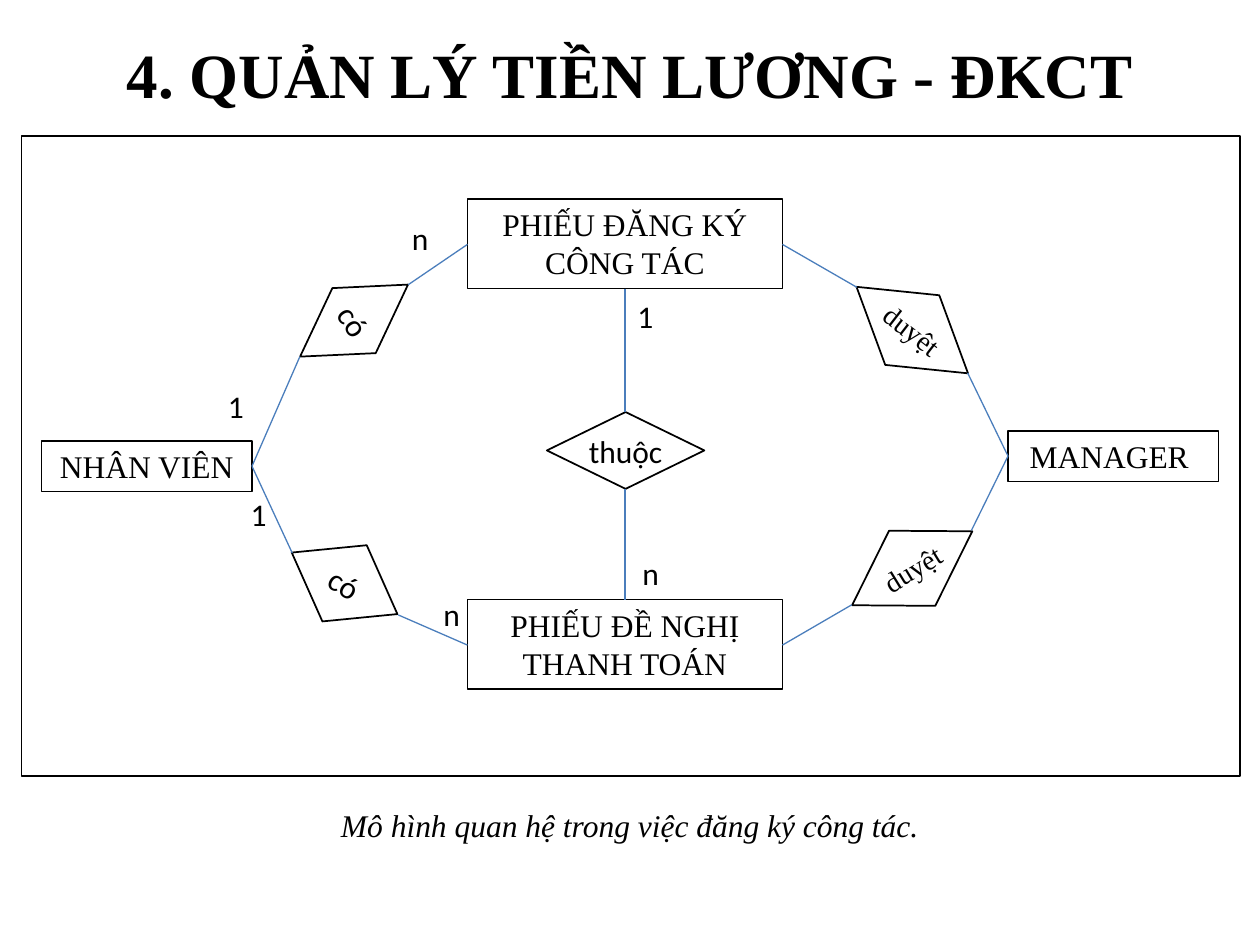
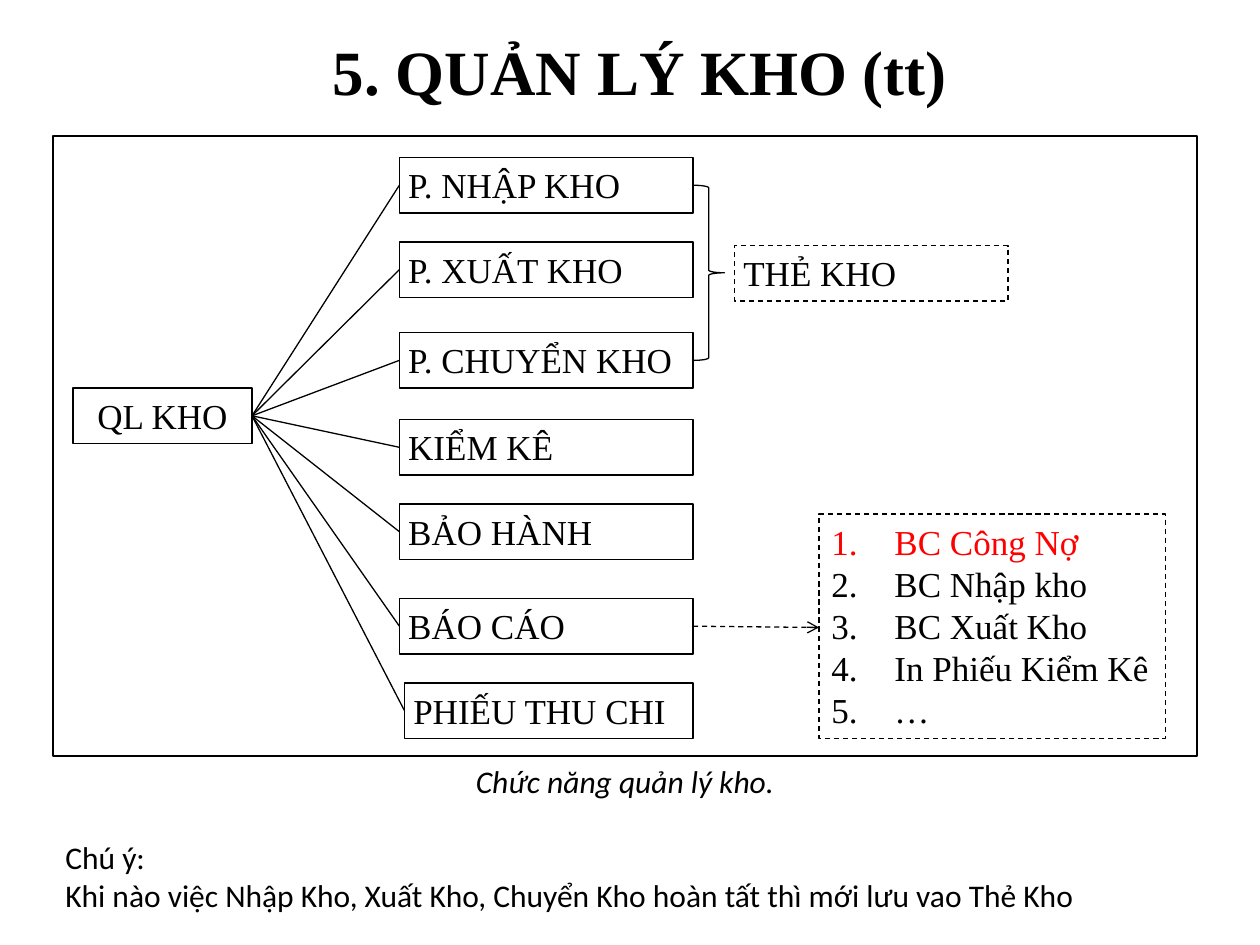
"""Build two slides: a payroll relationship model and a warehouse function chart."""
import pptx
import pptx.util
import pptx.dml.color
import pptx.enum.dml
import pptx.enum.shapes
import pptx.enum.text
import pptx.oxml.ns
import lxml.etree

Inches = pptx.util.Inches
Pt = pptx.util.Pt
RGBColor = pptx.dml.color.RGBColor
SHAPES = pptx.enum.shapes.MSO_SHAPE
ALIGN = pptx.enum.text.PP_ALIGN
ANCHOR = pptx.enum.text.MSO_ANCHOR
DASH = pptx.enum.dml.MSO_LINE.DASH

COLORS = {"ink": "000000", "link": "4B7EBC", "alert": "FF0000"}
SERIF = "Times New Roman"
SANS = "Calibri"
THIN = 0.75
INSETS = (0.1, 0.05, 0.1, 0.05)
LABEL_INSETS = (0.07, 0.05, 0, 0.05)


def add_box(slide, box, lines=(), kind=SHAPES.RECTANGLE, size=18, font=SERIF, align=ALIGN.CENTER,
            anchor=ANCHOR.TOP, insets=INSETS, width=THIN, dashed=False, bold=None, italic=None):
    place = [Inches(length) for length in box]
    if kind is None:
        shape = slide.shapes.add_textbox(*place)
    else:
        shape = slide.shapes.add_shape(kind, *place)
        shape.shadow.inherit = False
        shape.fill.background()
        shape.line.color.rgb = RGBColor.from_string(COLORS["ink"])
        shape.line.width = Pt(width)
        if dashed:
            shape.line.dash_style = DASH
    frame = shape.text_frame
    frame.word_wrap = True
    frame.vertical_anchor = anchor
    frame.margin_left, frame.margin_top, frame.margin_right, frame.margin_bottom = map(Inches, insets)
    for number, line in enumerate(lines):
        paragraph = frame.add_paragraph() if number else frame.paragraphs[0]
        paragraph.text = line
        paragraph.alignment = align
        paragraph.font.name = font
        paragraph.font.size = Pt(size)
        paragraph.font.bold = bold
        paragraph.font.italic = italic
        paragraph.font.color.rgb = RGBColor.from_string(COLORS["ink"])
    return shape


def add_line(slide, start, end, color="ink"):
    line = slide.shapes.add_connector(
        pptx.enum.shapes.MSO_CONNECTOR.STRAIGHT, *[Inches(length) for length in (*start, *end)])
    line.line.color.rgb = RGBColor.from_string(COLORS[color])
    line.line.width = Pt(THIN)
    lxml.etree.SubElement(line._element.spPr, pptx.oxml.ns.qn("a:effectLst"))
    return line


presentation = pptx.Presentation()
presentation.slide_width = Inches(10)
presentation.slide_height = Inches(7.5)
blank = presentation.slide_layouts[6]

slides = []
for title, title_box in [
    ("4. QUẢN LÝ TIỀN LƯƠNG - ĐKCT", (0.5, 0.08, 9, 1)),
    ("5. QUẢN LÝ KHO (tt)", (0.58, 0.08, 9, 0.95)),
]:
    slide = presentation.slides.add_slide(blank)
    add_box(slide, title_box, [title], kind=None, size=36, anchor=ANCHOR.MIDDLE, bold=True)
    slides.append(slide)
model, warehouse = slides

for box, name in [
    ((3.71, 1.58, 2.5, 0.71), "PHIẾU ĐĂNG KÝ CÔNG TÁC"),
    ((3.71, 4.76, 2.5, 0.71), "PHIẾU ĐỀ NGHỊ THANH TOÁN"),
    ((0.33, 3.5, 1.67, 0.4), "NHÂN VIÊN"),
    ((8, 3.42, 1.67, 0.4), "MANAGER "),
]:
    add_box(model, box, [name])

for box, angle, name, font, size in [
    ((4.34, 3.27, 1.25, 0.61), 0, "thuộc", SANS, 18),
    ((6.68, 2.27, 1.12, 0.7), 37.8, "duyệt", SERIF, 16),
    ((2.25, 4.28, 0.97, 0.7), 30.2, "có", SANS, 18),
    ((2.5, 2.03, 0.62, 1.03), 56.3, "có", SANS, 18),
    ((6.68, 4.16, 1.12, 0.7), 328.4, "duyệt", SERIF, 16),
]:
    relation = add_box(model, box, [name], kind=SHAPES.DIAMOND, size=size, font=font,
                       anchor=ANCHOR.MIDDLE, insets=(0, 0, 0, 0), width=1)
    relation.rotation = angle

employee, manager = (2, 3.7), (8, 3.62)
for start, end in [
    ((4.96, 2.29), (4.96, 3.27)),
    ((4.96, 3.88), (4.96, 4.76)),
    (employee, (2.38, 2.83)),
    ((3.24, 2.26), (3.71, 1.94)),
    (employee, (2.32, 4.39)),
    ((3.16, 4.88), (3.71, 5.12)),
    ((6.21, 1.94), (6.8, 2.28)),
    ((7.68, 2.96), manager),
    (manager, (7.71, 4.21)),
    ((6.76, 4.8), (6.21, 5.12)),
]:
    add_line(model, start, end, "link")

for left, top, cardinality in [
    (4.96, 2.31, "1"), (3.17, 1.69, "n"), (1.71, 3.02, "1"),
    (5, 4.35, "n"), (1.89, 3.88, "1"), (3.42, 4.67, "n"),
]:
    add_box(model, (left, top, 0.5, 0.4), [cardinality], kind=None, font=SANS, align=ALIGN.LEFT)

add_box(model, (0, 6.35, 10, 0.4), ["Mô hình quan hệ trong việc đăng ký công tác."],
        kind=None, italic=True)
add_box(model, (0.17, 1.08, 9.67, 5.08), width=1)

row_height = 0.44
right_edge = 5.5
hub = (2, 3.3)
add_box(warehouse, (0.58, 3.08, 1.42, row_height), ["QL KHO"], size=20)
for left, top, name in [
    (3.17, 1.25, "P. NHẬP KHO"),
    (3.17, 1.92, "P. XUẤT KHO"),
    (3.17, 2.64, "P. CHUYỂN KHO"),
    (3.17, 3.33, "KIỂM KÊ"),
    (3.17, 4, "BẢO HÀNH"),
    (3.17, 4.75, "BÁO CÁO"),
    (3.21, 5.42, "PHIẾU THU CHI"),
]:
    add_box(warehouse, (left, top, right_edge - left, row_height), [name], size=20,
            align=ALIGN.LEFT, insets=LABEL_INSETS)
    add_line(warehouse, hub, (left, top + row_height / 2))

add_box(warehouse, (5.83, 1.95, 2.17, row_height), ["THẺ KHO"], size=20,
        align=ALIGN.LEFT, insets=LABEL_INSETS, dashed=True)
add_box(warehouse, (right_edge, 1.47, 0.25, 1.39), kind=SHAPES.RIGHT_BRACE)

reports = add_box(warehouse, (6.5, 4.08, 2.75, 1.78),
                  ["BC Công Nợ", "BC Nhập kho", "BC Xuất Kho", "In Phiếu Kiểm Kê", "…"],
                  size=20, align=ALIGN.LEFT, insets=(0.1, 0.05, 0, 0.05), dashed=True)
for paragraph in reports.text_frame.paragraphs:
    properties = paragraph._p.get_or_add_pPr()
    properties.set("marL", str(Inches(0.5)))
    properties.set("indent", str(Inches(-0.5)))
    numbering = lxml.etree.Element(pptx.oxml.ns.qn("a:buAutoNum"), type="arabicPeriod")
    properties.insert(0, numbering)
debt_report = reports.text_frame.paragraphs[0]
debt_report.runs[0].font.color.rgb = RGBColor.from_string(COLORS["alert"])

arrow = add_line(warehouse, (right_edge, 4.97), (6.5, 4.98))
arrow.line.dash_style = DASH
lxml.etree.SubElement(arrow.line._get_or_add_ln(), pptx.oxml.ns.qn("a:tailEnd"), type="arrow")

notes = add_box(warehouse, (0.42, 6, 9.08, 1.31),
                ["Chức năng quản lý kho.", "Chú ý:",
                 "Khi nào việc Nhập Kho, Xuất Kho, Chuyển Kho hoàn tất thì mới lưu vao Thẻ Kho"],
                kind=None, font=SANS, align=ALIGN.LEFT)
caption, heading, remark = notes.text_frame.paragraphs
caption.alignment = ALIGN.CENTER
caption.font.italic = True
heading.space_before = Pt(22)
add_box(warehouse, (0.42, 1.08, 9.08, 4.92))

presentation.save("out.pptx")
